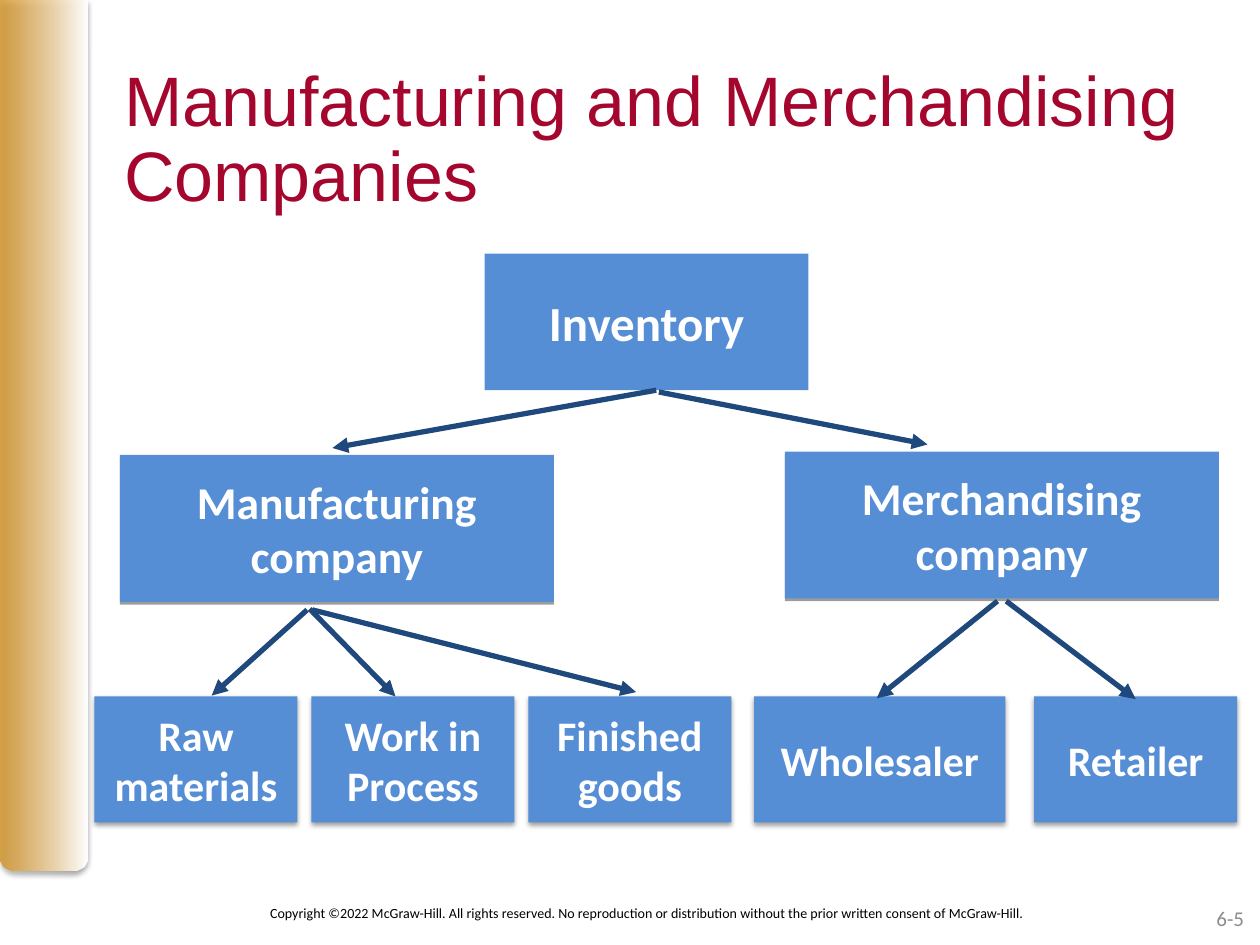
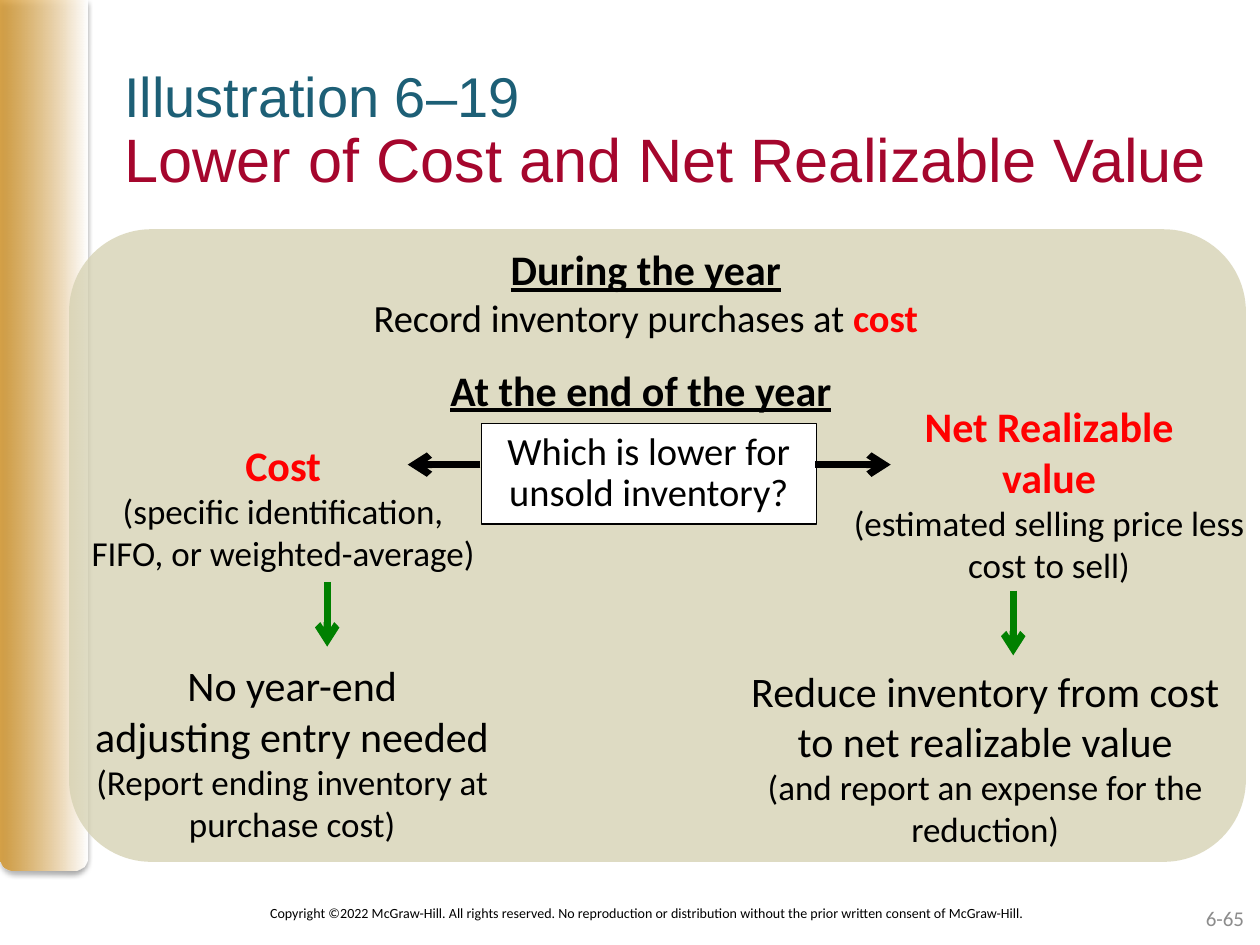
"""Build two slides on inventory: company types, and lower of cost and net realizable value."""
from dataclasses import dataclass, replace

from lxml.etree import SubElement
from pptx import Presentation
from pptx.dml.color import RGBColor
from pptx.enum.shapes import MSO_CONNECTOR as Connector, MSO_SHAPE as Preset
from pptx.enum.text import MSO_ANCHOR as Anchor, PP_ALIGN as Align
from pptx.oxml.ns import qn
from pptx.util import Pt


@dataclass(frozen=True)
class TextStyle:
    """Look of a run of text."""
    size: float
    color: str = "000000"
    bold: bool = False
    underline: bool = False
    font: str = "Calibri"


@dataclass(frozen=True)
class Theme:
    """Colours and type styles shared by the slides."""
    gold: str = "D49323"
    white: str = "FFFFFF"
    black: str = "000000"
    box: str = "558ED5"
    navy: str = "1F497D"
    sand: str = "D4D0B0"
    green: str = "008000"
    title: TextStyle = TextStyle(40, "A5062D", font="Arial")
    long_title: TextStyle = TextStyle(35, "A5062D", font="Arial")
    kicker: TextStyle = TextStyle(32, "1D5F76", font="Arial")
    root: TextStyle = TextStyle(28, "FFFFFF", bold=True)
    branch: TextStyle = TextStyle(26, "FFFFFF", bold=True)
    leaf: TextStyle = TextStyle(24, "FFFFFF", bold=True)
    heading: TextStyle = TextStyle(24, bold=True, underline=True)
    measure: TextStyle = TextStyle(24, "FF0000", bold=True)
    outcome: TextStyle = TextStyle(24)
    body: TextStyle = TextStyle(22)
    detail: TextStyle = TextStyle(20)
    copyright: TextStyle = TextStyle(8)
    number: TextStyle = TextStyle(12, "8C8C8C")


THEME = Theme()
COPYRIGHT = ("Copyright ©2022 McGraw-Hill. All rights reserved. No reproduction or "
             "distribution without the prior written consent of McGraw-Hill.")


def rgb(color):
    """Return the colour object for a hex string."""
    return RGBColor.from_string(color)


def format_run(run, style):
    """Apply a text style to a run."""
    font = run.font
    font.name, font.size = style.font, Pt(style.size)
    font.bold, font.underline = style.bold, style.underline
    font.color.rgb = rgb(style.color)


def write_lines(frame, lines, align=Align.CENTER, anchor=Anchor.TOP, spacing=None, wrap=True):
    """Fill a text frame with one paragraph for each (text, style) pair."""
    frame.text = "\n".join(text for text, _ in lines)
    frame.word_wrap = wrap
    frame.vertical_anchor = anchor
    for paragraph, (_, style) in zip(frame.paragraphs, lines):
        paragraph.alignment = align
        if spacing:
            paragraph.line_spacing = spacing
        format_run(paragraph.runs[0], style)


def add_text(slide, area, lines, **layout):
    """Add a text box and return its frame."""
    frame = slide.shapes.add_textbox(*map(Pt, area)).text_frame
    write_lines(frame, lines, **layout)
    return frame


def add_block(slide, preset, area, fill=None):
    """Add a preset shape without line or shadow."""
    shape = slide.shapes.add_shape(preset, *map(Pt, area))
    shape.shadow.inherit = False
    shape.line.fill.background()
    if fill:
        shape.fill.solid()
        shape.fill.fore_color.rgb = rgb(fill)
    return shape


def set_opacity(shape, percent):
    """Make the first fill colour of a shape partly transparent."""
    color = shape.element.spPr.find(".//" + qn("a:srgbClr"))
    SubElement(color, qn("a:alpha"), val=str(percent * 1000))


def add_shadow(shape, opacity, blur, distance):
    """Cast a black shadow straight down."""
    effects = shape.element.spPr.find(qn("a:effectLst"))
    shadow = SubElement(effects, qn("a:outerShdw"), blurRad=str(Pt(blur)),
                        dist=str(Pt(distance)), dir="5400000", rotWithShape="0")
    color = SubElement(shadow, qn("a:srgbClr"), val=THEME.black)
    SubElement(color, qn("a:alpha"), val=str(opacity * 1000))


def add_box(slide, area, label, style, blur=None):
    """Add a blue box of the tree, with a shadow when a blur is given."""
    shape = add_block(slide, Preset.RECTANGLE, area, THEME.box)
    if blur is not None:
        add_shadow(shape, 38, blur, 1.6)
    lines = [(line, style) for line in label.split("\n")]
    write_lines(shape.text_frame, lines, anchor=Anchor.MIDDLE, wrap=False)


def add_arrow(slide, start, end, color, width, head):
    """Add a straight arrow from start to end."""
    connector = slide.shapes.add_connector(Connector.STRAIGHT, *map(Pt, start + end))
    connector.line.color.rgb = rgb(color)
    connector.line.width = Pt(width)
    properties = connector.element.spPr
    SubElement(properties.find(qn("a:ln")), qn("a:tailEnd"), type=head)
    SubElement(properties, qn("a:effectLst"))


def add_band(slide):
    """Add the gold gradient band at the left edge."""
    band = add_block(slide, Preset.ROUND_2_SAME_RECTANGLE, (0, 0, 50, 497.5))
    band.fill.gradient()
    band.fill.gradient_angle = 0
    for stop, color in zip(band.fill.gradient_stops, (THEME.gold, THEME.white)):
        stop.color.rgb = rgb(color)
    set_opacity(band, 80)
    band.element.spPr.find(qn("a:xfrm")).set("flipV", "1")
    add_shadow(band, 35, 3.1, 1.8)


def add_frame(presentation, number, title, top):
    """Add a blank slide with band, title, copyright line and number."""
    slide = presentation.slides.add_slide(presentation.slide_layouts[6])
    add_band(slide)
    add_text(slide, (64, top, 648, 90), title, align=Align.LEFT, spacing=0.9)
    add_text(slide, (112.5, 507, 515, 29), [(COPYRIGHT, THEME.copyright)], anchor=Anchor.MIDDLE)
    add_text(slide, (550, 510, 168, 29), [(number, THEME.number)],
             align=Align.RIGHT, anchor=Anchor.MIDDLE)
    return slide


def build_company_tree(presentation):
    """Build the tree of inventory by kind of company."""
    title = [("Manufacturing and Merchandising Companies", THEME.title)]
    slide = add_frame(presentation, "6-5", title, 34)
    add_box(slide, (277, 145, 185, 78), "Inventory", THEME.root)
    add_box(slide, (448.5, 258, 248, 84), "Merchandising\ncompany", THEME.branch, blur=0)
    add_box(slide, (68.5, 260, 248, 84), "Manufacturing\ncompany", THEME.branch, blur=0)

    leaf_top, leaf_width, leaf_height, leaf_step = 398, 116, 72, 124
    stages = ("Raw\nmaterials", "Work in\nProcess", "Finished\ngoods")
    leaves = [(54 + index * leaf_step, leaf_width, stage) for index, stage in enumerate(stages)]
    leaves += [(431, 143.5, "Wholesaler"), (591, leaf_width, "Retailer")]
    for left, width, label in leaves:
        add_box(slide, (left, leaf_top, width, leaf_height), label, THEME.leaf, blur=3.1)

    branches = (
        ((375, 223), (190, 256)),
        ((376.5, 224), (530, 254)),
        ((177, 348), (226, 398)),
        ((178.5, 348.5), (363.5, 395.5)),
        ((175.5, 348.5), (121, 397.5)),
        ((570, 343.5), (501, 399)),
        ((575, 343.5), (649, 399.5)),
    )
    for start, end in branches:
        add_arrow(slide, start, end, THEME.navy, 3, "triangle")


def build_lower_of_cost(presentation):
    """Build the decision between cost and net realizable value."""
    title = [("Illustration 6–19", THEME.kicker),
             ("Lower of Cost and Net Realizable Value", THEME.long_title)]
    slide = add_frame(presentation, "6-65", title, 36)
    panel = add_block(slide, Preset.ROUNDED_RECTANGLE, (39.5, 131, 672.5, 361.5), THEME.sand)
    panel.adjustments[0] = 0.13
    set_opacity(panel, 75)

    during = add_text(slide, (170, 135.5, 398, 65.5), [
        ("During the year", THEME.heading),
        ("Record inventory purchases at ", THEME.body)])
    cost_run = during.paragraphs[1].add_run()
    cost_run.text = "cost"
    format_run(cost_run, replace(THEME.measure, size=THEME.body.size))
    add_text(slide, (223, 204.5, 286.5, 36), [("At the end of the year", THEME.heading)])

    question = add_block(slide, Preset.RECTANGLE, (275, 242, 191.5, 57.5), THEME.white)
    question.line.color.rgb = rgb(THEME.black)
    question.line.width = Pt(0.75)
    write_lines(question.text_frame, [("Which is lower for", THEME.body),
                                      ("unsold inventory?", THEME.body)],
                anchor=Anchor.MIDDLE, spacing=0.9, wrap=False)

    add_text(slide, (40.5, 247.5, 242.5, 85), [
        ("Cost", THEME.measure),
        ("(specific identification, FIFO, or weighted-average)", THEME.detail)])
    add_text(slide, (480, 225.5, 239, 114), [
        ("Net Realizable", THEME.measure),
        ("value", THEME.measure),
        ("(estimated selling price less cost to sell)", THEME.detail)])
    add_text(slide, (39.5, 373.5, 255, 114), [
        ("No year-end", THEME.outcome),
        ("adjusting entry needed", THEME.outcome),
        ("(Report ending inventory at purchase cost)", THEME.detail)])
    add_text(slide, (420, 376.5, 286, 114), [
        ("Reduce inventory from cost to net realizable value", THEME.outcome),
        ("(and report an expense for the reduction)", THEME.detail)])

    arrows = (
        ((466, 265.5), (509, 265.5), THEME.black),
        ((274.5, 265.5), (233, 265.5), THEME.black),
        ((579, 337.5), (579, 374.5), THEME.green),
        ((187, 332.5), (187, 369.5), THEME.green),
    )
    for start, end, color in arrows:
        add_arrow(slide, start, end, color, 4, "arrow")


def main():
    """Build and save the presentation."""
    presentation = Presentation()
    presentation.slide_width, presentation.slide_height = Pt(720), Pt(540)
    build_company_tree(presentation)
    build_lower_of_cost(presentation)
    presentation.save("out.pptx")


if __name__ == "__main__":
    main()
